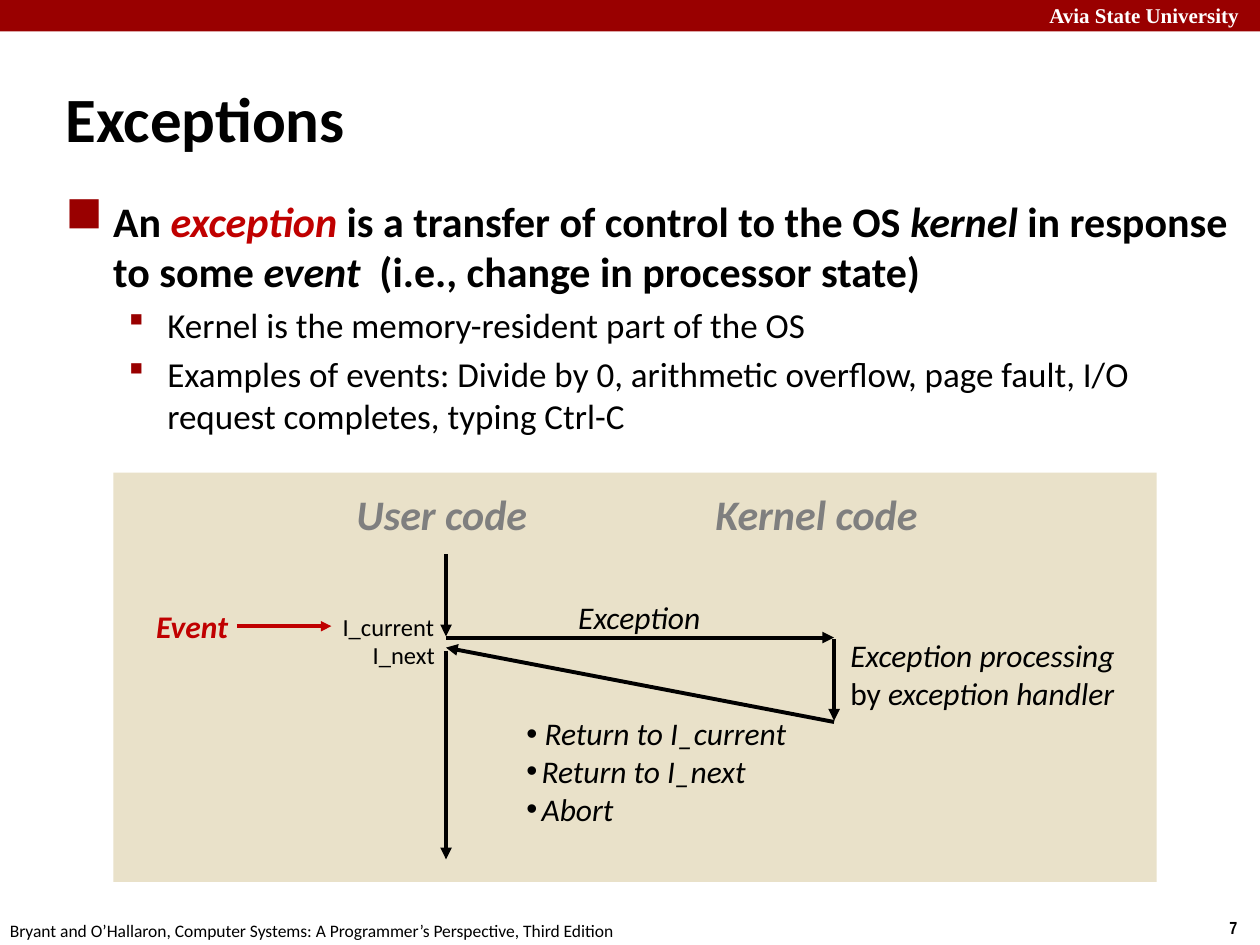
from pptx import Presentation
from pptx.util import Inches, Pt
from pptx.dml.color import RGBColor
from pptx.enum.shapes import MSO_CONNECTOR, MSO_SHAPE
from pptx.enum.text import MSO_ANCHOR, PP_ALIGN
from pptx.oxml.ns import qn
from lxml import etree

COLORS = {"bar": "990000", "red": "C00000", "panel": "E9E1C9",
          "gray": "7F7F7F", "black": "000000", "white": "FFFFFF"}

# Content: a run is (text, style), style letters: b bold, i italic, r red
TITLE = "Exceptions"
BODY = [
    (0, [("An ", "b"), ("exception", "bir"),
         (" is a transfer of control to the OS ", "b"), ("kernel", "bi"),
         (" in response to some ", "b"), ("event", "bi"),
         ("  (i.e., change in processor state)", "b")]),
    (1, [("Kernel is the memory-resident part of the OS", "")]),
    (1, [("Examples of events: Divide by 0, arithmetic overflow, page fault, "
          "I/O request completes, typing Ctrl-C", "")]),
]
# Bullets: character, font, percent of text size
SQUARE, SMALL_SQUARE = ("n", "Wingdings", 120), ("\u00a7", "Wingdings", 100)
DOT = ("\u2022", "Arial", 100)
# Body levels: size, left margin, hanging indent, space before, bullet
LEVELS = [(24, 0.38, 0.38, 0, SQUARE), (20, 0.81, 0.31, 4, SMALL_SQUARE)]

# Labels: position and size, point size, colour, font, paragraphs of runs
LABELS = [
    ((8.23, -0.03, 1.84, 0.3), 12, "white", "Times New Roman",
     [[("Avia State University", "b")]]),
    ((9.66, 7.23, 0.34, 0.27), 10, "black", "Arial Narrow", [[("7", "b")]]),
    ((-0.02, 7.25, 5.08, 0.27), 10, "black", "Calibri",
     [[("Bryant and O\u2019Hallaron, Computer Systems: "
        "A Programmer\u2019s Perspective, Third Edition", "")]]),
    ((2.73, 3.83, 1.69, 0.5), 24, "gray", "Calibri", [[("User code", "bi")]]),
    ((5.58, 3.83, 1.95, 0.5), 24, "gray", "Calibri", [[("Kernel code", "bi")]]),
    ((4.49, 4.7, 1.25, 0.4), 18, "black", "Calibri", [[("Exception", "i")]]),
    ((6.65, 5, 2.35, 1.01), 18, "black", "Calibri",
     [[("Exception processing", "i")],
      [("by ", ""), ("exception handler", "i")]]),
    ((1.14, 4.77, 0.88, 0.4), 18, "red", "Calibri", [[("Event ", "bi")]]),
    ((2.62, 4.81, 0.95, 0.34), 14, "black", "Calibri", [[("I_current", "")]]),
    ((2.86, 5.03, 0.71, 0.34), 14, "black", "Calibri", [[("I_next", "")]]),
]
# Outcomes: text, hanging indent
OUTCOMES = [(" Return to I_current", 0), ("Return to I_next", 0.12),
            ("Abort", 0.12)]

USER_X, KERNEL_X = 3.54, 6.62
ARROWS = [
    (USER_X, 4.4, USER_X, 5.05, "black", 2.25),
    (USER_X, 5.06, KERNEL_X, 5.06, "black", 2.25),
    (KERNEL_X, 5.07, KERNEL_X, 5.72, "black", 2.25),
    (KERNEL_X, 5.73, USER_X, 5.14, "black", 2.25),
    (USER_X, 5.17, USER_X, 6.82, "black", 2.25),
    (1.88, 4.97, 2.63, 4.97, "red", 2),
]

prs = Presentation()
prs.slide_width, prs.slide_height = Inches(10), Inches(7.5)
s = prs.slides.add_slide(prs.slide_layouts[5])


def rgb(name):
    return RGBColor.from_string(COLORS[name])


def add_runs(p, runs, size, color="black", font="Calibri"):
    for text, style in runs:
        r = p.add_run()
        r.text = text
        r.font.name, r.font.size = font, Pt(size)
        r.font.bold, r.font.italic = "b" in style, "i" in style
        r.font.color.rgb = rgb("red" if "r" in style else color)


def add_bullet(p, bullet, color, margin, hang):
    char, font, percent = bullet
    pPr = p._p.get_or_add_pPr()
    pPr.set("marL", str(Inches(margin)))
    pPr.set("indent", str(-Inches(hang)))
    clr = etree.SubElement(pPr, qn("a:buClr"))
    etree.SubElement(clr, qn("a:srgbClr"), val=COLORS[color])
    etree.SubElement(pPr, qn("a:buSzPct"), val=str(percent * 1000))
    bu_font = etree.SubElement(pPr, qn("a:buFont"), typeface=font)
    if font == "Wingdings":
        bu_font.set("charset", "2")
    etree.SubElement(pPr, qn("a:buChar"), char=char)


def add_box(at, wrap=False):
    tf = s.shapes.add_textbox(*map(Inches, at)).text_frame
    tf.word_wrap = wrap
    return tf


def next_paragraph(tf, i):
    return tf.add_paragraph() if i else tf.paragraphs[0]


def add_rect(at, color):
    sp = s.shapes.add_shape(MSO_SHAPE.RECTANGLE, *map(Inches, at))
    sp.shadow.inherit = False
    sp.fill.solid()
    sp.fill.fore_color.rgb = rgb(color)
    sp.line.fill.background()


# Header bar and diagram panel
add_rect((0, 0, 10, 0.25), "bar")
add_rect((0.9, 3.75, 8.28, 3.25), "panel")

# Title
title = s.shapes.title
title.left, title.top = Inches(0.42), Inches(0.58)
title.width, title.height = Inches(3.67), Inches(0.63)
tf = title.text_frame
tf.vertical_anchor = MSO_ANCHOR.TOP
tf.paragraphs[0].alignment = PP_ALIGN.LEFT
add_runs(tf.paragraphs[0], [(TITLE, "b")], 36)

# Body text
tf = add_box((0.42, 1.5, 9.5, 2.08), wrap=True)
for i, (level, runs) in enumerate(BODY):
    size, margin, hang, before, bullet = LEVELS[level]
    p = next_paragraph(tf, i)
    p.level, p.space_before = level, Pt(before)
    add_bullet(p, bullet, "bar", margin, hang)
    add_runs(p, runs, size)

# Labels
for at, size, color, font, paragraphs in LABELS:
    tf = add_box(at)
    for i, runs in enumerate(paragraphs):
        add_runs(next_paragraph(tf, i), runs, size, color, font)

# Possible outcomes
tf = add_box((4.08, 5.62, 2.29, 1.01))
for i, (text, hang) in enumerate(OUTCOMES):
    p = next_paragraph(tf, i)
    add_bullet(p, DOT, "black", hang, hang)
    add_runs(p, [(text, "i")], 18)

# Control flow arrows
for x1, y1, x2, y2, color, width in ARROWS:
    c = s.shapes.add_connector(MSO_CONNECTOR.STRAIGHT,
                               *map(Inches, (x1, y1, x2, y2)))
    c.line.color.rgb, c.line.width = rgb(color), Pt(width)
    etree.SubElement(c.line._get_or_add_ln(), qn("a:tailEnd"), type="triangle")
    etree.SubElement(c._element.spPr, qn("a:effectLst"))

prs.save("out.pptx")
